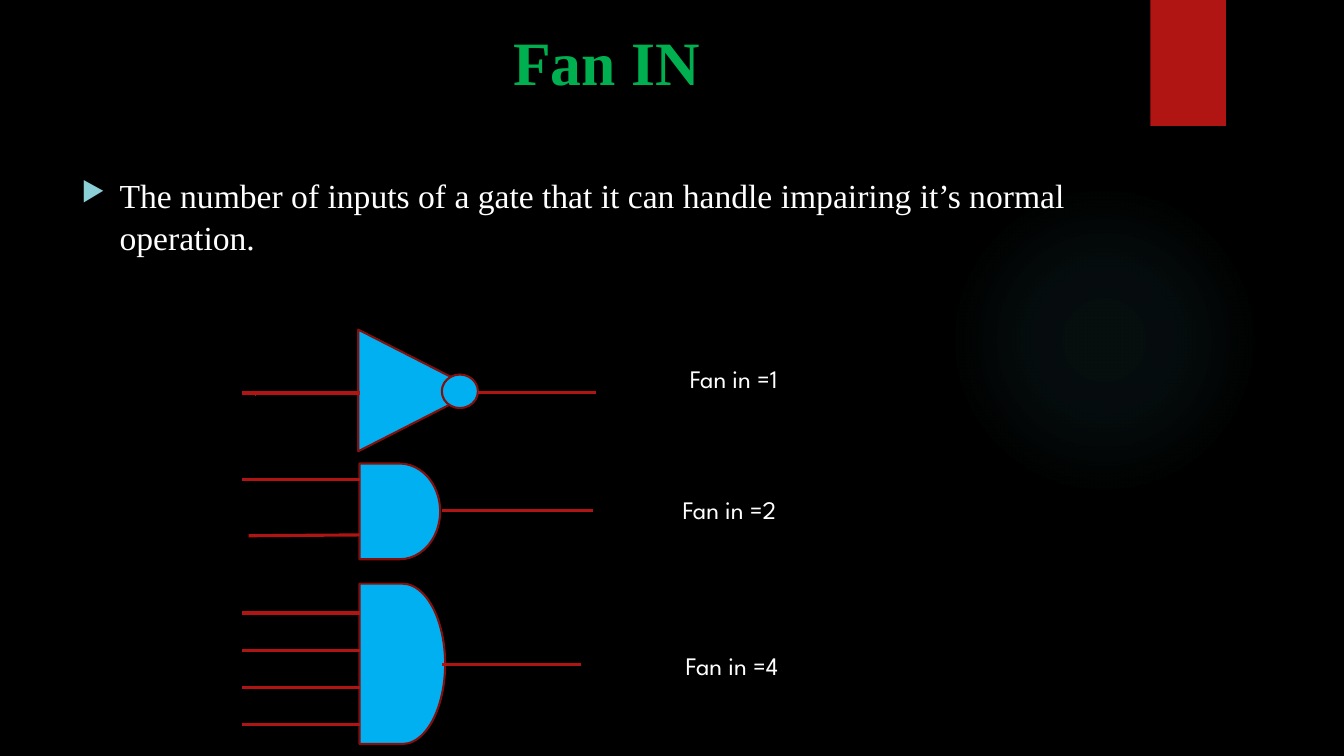
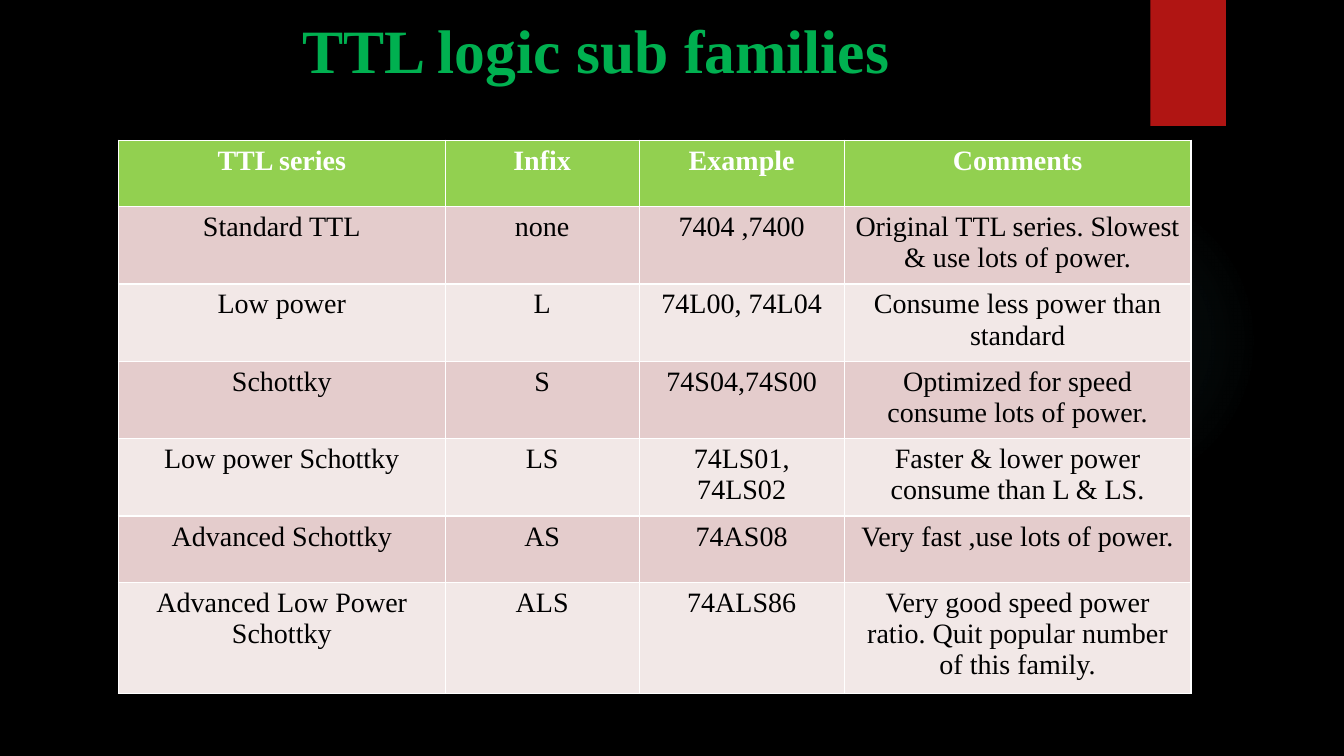
from lxml import etree
from pptx import Presentation
from pptx.dml.color import RGBColor as RGB
from pptx.enum.shapes import MSO_CONNECTOR as LINE, MSO_SHAPE as SHAPE
from pptx.enum.text import MSO_ANCHOR as ANCHOR, PP_ALIGN as ALIGN
from pptx.oxml import parse_xml
from pptx.oxml.ns import nsdecls, qn
from pptx.util import Inches, Pt

COLS = 160
W, H = Inches(13.33), Inches(7.5)
SERIF, SANS = "Times New Roman", "League Spartan"
C = {
    "back": "000000", "white": "FFFFFF", "black": "000000", "title": "00B050",
    "red": "B01513", "edge": "82100E", "gate": "00B0F0", "glow": "50B9C1",
    "bullet": "8AD0D6", "header": "92D050", "odd": "E4CCCC", "even": "F2E8E7",
}
GATE_X, WIRE_X = 42.8, 28.8
SERIES = [
    ("TTL series", "Infix", "Example", "Comments"),
    ("Standard TTL", "none", "7404 ,7400",
     "Original TTL series. Slowest & use lots of power."),
    ("Low power", "L", "74L00, 74L04", "Consume less power than standard"),
    ("Schottky", "S", "74S04,74S00", "Optimized for speed consume lots of power."),
    ("Low power Schottky", "LS", "74LS01, 74LS02",
     "Faster & lower power consume than L & LS."),
    ("Advanced Schottky", "AS", "74AS08", "Very fast ,use lots of power."),
    ("Advanced Low Power Schottky", "ALS", "74ALS86",
     "Very good speed power ratio. Quit popular number of this family."),
]


def grid(*cells):
    """Turn square grid cells, 160 across the slide, into lengths."""
    return [round(n * W / COLS) for n in cells]


def color(name):
    """Look up a palette colour."""
    return RGB.from_string(C[name])


def style(p, size, name, font=SERIF, bold=False, align=ALIGN.CENTER):
    """Format a paragraph and its runs."""
    p.alignment = align
    for r in p.runs:
        r.font.size, r.font.name, r.font.bold = Pt(size), font, bold
        r.font.color.rgb = color(name)


def add_text(s, box, text, anchor=ANCHOR.TOP, **look):
    """Add a wrapped text box and return its paragraph."""
    tf = s.shapes.add_textbox(*grid(*box)).text_frame
    tf.word_wrap, tf.vertical_anchor = True, anchor
    tf.text = text
    p = tf.paragraphs[0]
    style(p, **look)
    return p


def add_bullet(s, box, text):
    """Add a paragraph with an arrow bullet and a hanging indent."""
    p = add_text(s, box, text, size=24, name="white", align=ALIGN.LEFT)
    p.line_spacing = 1.06
    pPr = p._p.get_or_add_pPr()
    indent = Inches(0.38)
    pPr.set("marL", str(indent))
    pPr.set("indent", str(-indent))
    clr = etree.SubElement(pPr, qn("a:buClr"))
    etree.SubElement(clr, qn("a:srgbClr"), val=C["bullet"])
    etree.SubElement(pPr, qn("a:buSzPct"), val="80000")
    etree.SubElement(pPr, qn("a:buChar"), char="▶")


def add_solid(s, kind, box, fill, edge=None):
    """Add a filled preset shape, outlined if an edge colour is given."""
    sp = s.shapes.add_shape(kind, *grid(*box))
    sp.shadow.inherit = False
    sp.fill.solid()
    sp.fill.fore_color.rgb = color(fill)
    if edge:
        sp.line.color.rgb, sp.line.width = color(edge), Pt(1.5)
    else:
        sp.line.fill.background()
    return sp


def add_glow(s, box):
    """Add the faint circle that fades out from its centre."""
    sp = add_solid(s, SHAPE.OVAL, box, "glow")
    stops = "".join(
        f'<a:gs pos="{pos}000"><a:srgbClr val="{C["glow"]}">'
        f'<a:alpha val="{alpha}000"/></a:srgbClr></a:gs>'
        for pos, alpha in ((0, 7), (36, 6), (69, 0)))
    grad = parse_xml(
        f'<a:gradFill {nsdecls("a")}><a:gsLst>{stops}</a:gsLst><a:path path="circle">'
        '<a:fillToRect l="50000" t="50000" r="50000" b="50000"/></a:path></a:gradFill>')
    spPr = sp._element.spPr
    spPr.replace(spPr.find(qn("a:solidFill")), grad)


def add_wire(s, x1, y1, x2, y2=None, width=2.25):
    """Add a wire, level unless a second height is given."""
    ends = grid(x1, y1, x2, y1 if y2 is None else y2)
    wire = s.shapes.add_connector(LINE.STRAIGHT, *ends)
    wire.line.color.rgb, wire.line.width = color("red"), Pt(width)
    etree.SubElement(wire._element.spPr, qn("a:effectLst"))


def add_label(s, x, y, count):
    """Add the fan-in count beside a gate."""
    add_text(s, (x, y, 21.5, 7.1), f"Fan in ={count}", ANCHOR.MIDDLE,
             size=18, name="white", font=SANS)


def add_and_gate(s, top, width, height):
    """Add the body of an AND gate."""
    add_solid(s, SHAPE.FLOWCHART_DELAY, (GATE_X, top, width, height), "gate", "edge")


def add_table(s, x, y, widths, row, data):
    """Add a table with a coloured header and alternating rows."""
    box = grid(x, y, sum(widths), row * len(data))
    tbl = s.shapes.add_table(len(data), len(widths), *box).table
    for col, width in zip(tbl.columns, grid(*widths)):
        col.width = width
    for i, texts in enumerate(data):
        fill = "header" if i == 0 else ("even", "odd")[i % 2]
        for cell, text in zip(tbl.rows[i].cells, texts):
            cell.text = text
            cell.fill.solid()
            cell.fill.fore_color.rgb = color(fill)
            style(cell.text_frame.paragraphs[0], 20,
                  "black" if i else "white", bold=i == 0)


def new_slide(prs, title, box):
    """Start a slide with the shared background, band and title."""
    s = prs.slides.add_slide(prs.slide_layouts[6])
    s.background.fill.solid()
    s.background.fill.fore_color.rgb = color("back")
    add_glow(s, (112.9, 22, 37, 37))
    add_solid(s, SHAPE.RECTANGLE, (136.95, 0, 9, 15), "red")
    add_text(s, box, title, size=44, name="title", bold=True)
    return s


def fan_in_slide(prs):
    """Build the slide of gates with one, two and four inputs."""
    s = new_slide(prs, "Fan IN", (10.7, 2.2, 123, 11.8))
    add_bullet(s, (8.5, 19.9, 128.5, 10), "The number of inputs of a gate that it "
               "can handle impairing it’s normal operation.")

    inverter = add_solid(s, SHAPE.ISOSCELES_TRIANGLE, (42.5, 39.4, 14.5, 14.2),
                         "gate", "edge")
    inverter.rotation = 90
    add_solid(s, SHAPE.OVAL, (52.6, 44.6, 4.3, 4), "gate", "edge")
    add_wire(s, WIRE_X, 46.8, GATE_X)
    add_wire(s, 30.4, 46.8, 30.4, 47.1, width=0.75)
    add_wire(s, 56.9, 46.7, 70.9)
    add_label(s, 76.6, 41.5, 1)

    add_and_gate(s, 55.2, 9.6, 11.4)
    add_wire(s, WIRE_X, 57.1, GATE_X)
    add_wire(s, 29.6, 63.8, GATE_X, 63.7)
    add_wire(s, 52.6, 60.8, 70.6)
    add_label(s, 76.1, 57.1, 2)

    add_and_gate(s, 69.5, 10.2, 19.1)
    for i in range(4):
        add_wire(s, WIRE_X, 73 + 4.43 * i, GATE_X)
    add_wire(s, 52.6, 79.1, 69.2)
    add_label(s, 76.4, 75.7, 4)


def families_slide(prs):
    """Build the slide with the table of TTL sub families."""
    s = new_slide(prs, "TTL logic sub families", (8.5, 0.8, 125, 11.3))
    add_table(s, 14.1, 16.7, (38.9, 23.1, 24.4, 41.3), 7.9, SERIES)


def main():
    """Build and save the presentation."""
    prs = Presentation()
    prs.slide_width, prs.slide_height = W, H
    fan_in_slide(prs)
    families_slide(prs)
    prs.save("out.pptx")


if __name__ == "__main__":
    main()
